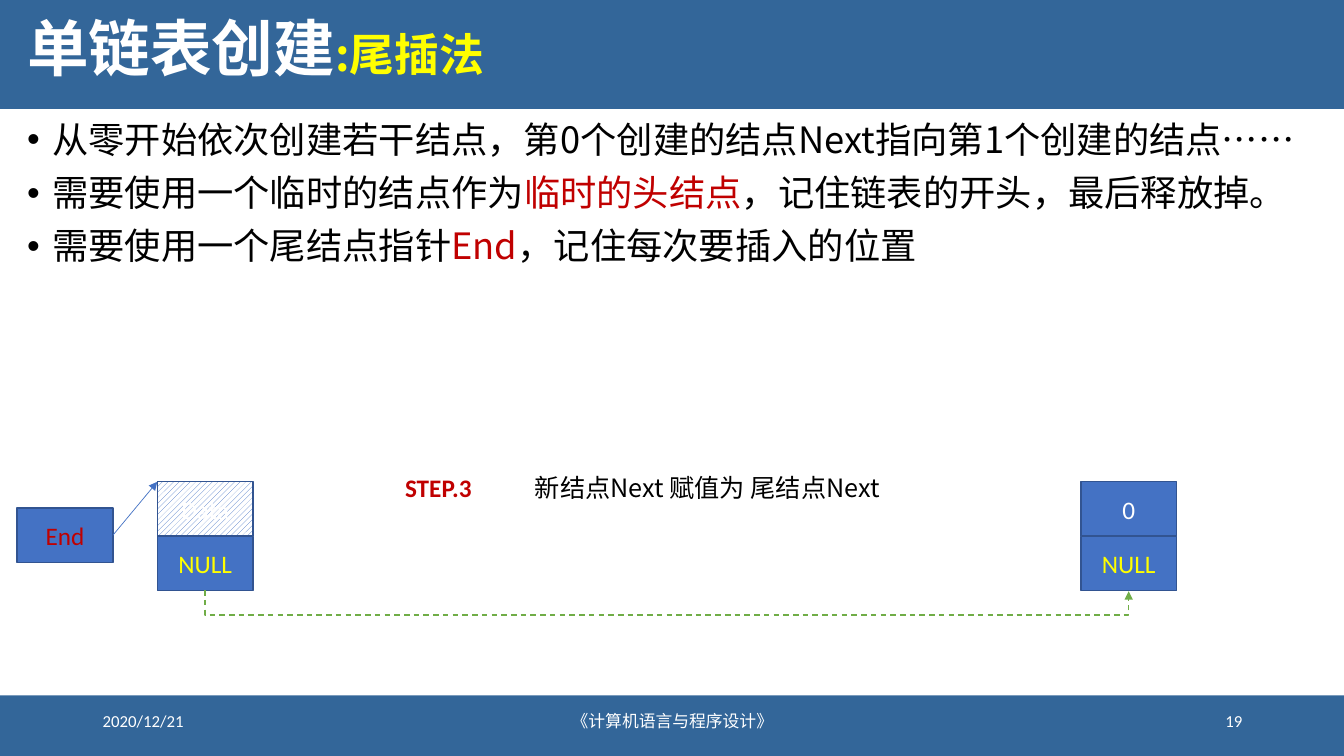
from lxml import etree
from pptx import Presentation
from pptx.dml.color import RGBColor
from pptx.enum.dml import MSO_LINE, MSO_PATTERN
from pptx.enum.shapes import MSO_CONNECTOR, MSO_SHAPE
from pptx.enum.text import MSO_ANCHOR, PP_ALIGN
from pptx.oxml.ns import qn
from pptx.util import Inches, Pt

RECTANGLE = MSO_SHAPE.RECTANGLE
STRAIGHT, ELBOW = MSO_CONNECTOR.STRAIGHT, MSO_CONNECTOR.ELBOW
LEFT, CENTER, RIGHT = PP_ALIGN.LEFT, PP_ALIGN.CENTER, PP_ALIGN.RIGHT
TOP, MIDDLE = MSO_ANCHOR.TOP, MSO_ANCHOR.MIDDLE
HATCH = MSO_PATTERN.WIDE_UPWARD_DIAGONAL
DASH = MSO_LINE.DASH

LATIN_FONT, CHINESE_FONT = "Calibri", "Noto Sans CJK SC"
BAND_BLUE = RGBColor(0x33, 0x66, 0x99)
NODE_BLUE = RGBColor(0x44, 0x72, 0xC4)
NODE_EDGE = RGBColor(0x32, 0x54, 0x91)
GREEN = RGBColor(0x70, 0xAD, 0x47)
RED = RGBColor(0xC0, 0x00, 0x00)
YELLOW = RGBColor(0xFF, 0xFF, 0x00)
WHITE = RGBColor(0xFF, 0xFF, 0xFF)
BLACK = RGBColor(0x00, 0x00, 0x00)

CELL_WIDTH, CELL_HEIGHT = 0.95, 0.54
NODE_TOP = 4.78
FIRST_NODE_LEFT, NEW_NODE_LEFT = 1.56, 10.72
END_LEFT, END_TOP = 0.17, 5.04

BULLETS = [
    [("从零开始依次创建若干结点，第0个创建的结点Next指向第1个创建的结点……", BLACK)],
    [("需要使用一个临时的结点作为", BLACK), ("临时的头结点", RED),
     ("，记住链表的开头，最后释放掉。", BLACK)],
    [("需要使用一个尾结点指针", BLACK), ("End", RED), ("，记住每次要插入的位置", BLACK)],
]


def set_font(paragraph, size, name, color=None, bold=False):
    font = paragraph.font
    font.size, font.name, font.bold = Pt(size), name, bold
    if color is not None:
        font.color.rgb = color


def add_runs(paragraph, runs):
    for text, color in runs:
        run = paragraph.add_run()
        run.text = text
        run.font.color.rgb = color


def add_text_frame(slide, left, top, width, height, anchor=TOP):
    box = slide.shapes.add_textbox(
        Inches(left), Inches(top), Inches(width), Inches(height))
    frame = box.text_frame
    frame.word_wrap = True
    frame.vertical_anchor = anchor
    return frame


def add_label(slide, text, left, top, width, size, name, color,
              align=LEFT, anchor=TOP, bold=False):
    paragraph = add_text_frame(slide, left, top, width, 0.4, anchor).paragraphs[0]
    paragraph.text = text
    paragraph.alignment = align
    set_font(paragraph, size, name, color, bold)


def add_rectangle(shapes, left, top, width, height, color):
    shape = shapes.add_shape(
        RECTANGLE, Inches(left), Inches(top), Inches(width), Inches(height))
    shape.shadow.inherit = False
    shape.fill.solid()
    shape.fill.fore_color.rgb = color
    shape.line.fill.background()
    return shape


def add_cell(shapes, text, left, top, color):
    cell = add_rectangle(shapes, left, top, CELL_WIDTH, CELL_HEIGHT, NODE_BLUE)
    cell.line.color.rgb = NODE_EDGE
    cell.line.width = Pt(1)
    cell.text_frame.vertical_anchor = MIDDLE
    paragraph = cell.text_frame.paragraphs[0]
    paragraph.text = text
    paragraph.alignment = CENTER
    set_font(paragraph, 18, LATIN_FONT, color)
    return cell


def add_node(slide, data, left):
    """Group a data cell with the NULL pointer cell below it; return the data cell."""
    shapes = slide.shapes.add_group_shape().shapes
    data_cell = add_cell(shapes, data, left, NODE_TOP, WHITE)
    add_cell(shapes, "NULL", left, NODE_TOP + CELL_HEIGHT, YELLOW)
    return data_cell


def add_arrow(slide, kind, start, end, color, width):
    points = [Inches(value) for value in (*start, *end)]
    arrow = slide.shapes.add_connector(kind, *points)
    arrow.line.color.rgb = color
    arrow.line.width = Pt(width)
    etree.SubElement(arrow.line._get_or_add_ln(), qn("a:tailEnd"), type="triangle")
    etree.SubElement(arrow._element.spPr, qn("a:effectLst"))
    return arrow


def add_next_link(slide):
    """Dashed elbow that drops below both nodes and rises into the new one."""
    span = NEW_NODE_LEFT - FIRST_NODE_LEFT
    center = (FIRST_NODE_LEFT + NEW_NODE_LEFT + CELL_WIDTH) / 2
    bottom = NODE_TOP + 2 * CELL_HEIGHT
    thickness, drop = 0.01, 0.25
    link = add_arrow(slide, ELBOW,
                     (center - thickness / 2, bottom - span / 2),
                     (center + thickness / 2, bottom + span / 2), GREEN, 1)
    link.line.dash_style = DASH
    properties = link._element.spPr
    properties.xfrm.set("rot", str(270 * 60000))
    properties.xfrm.set("flipH", "1")
    adjustments = properties.find(qn("a:prstGeom")).get_or_add_avLst()
    etree.SubElement(adjustments, qn("a:gd"), name="adj1",
                     fmla=f"val {round(drop / thickness * 100000)}")


def add_title(slide):
    paragraph = add_text_frame(slide, 0.17, 0, 12.87, 1.03, MIDDLE).paragraphs[0]
    paragraph.line_spacing = 0.9
    add_runs(paragraph, [("单链表创建", WHITE), (":尾插法", YELLOW)])
    set_font(paragraph, 44, CHINESE_FONT, bold=True)
    paragraph.runs[1].font.size = Pt(32)


def add_bullets(slide):
    frame = add_text_frame(slide, 0.17, 1.16, 12.87, 1.71)
    for index, runs in enumerate(BULLETS):
        paragraph = frame.add_paragraph() if index else frame.paragraphs[0]
        paragraph.line_spacing = 0.9
        paragraph.space_before = Pt(10 if index else 0)
        properties = paragraph._p.get_or_add_pPr()
        properties.set("marL", str(Inches(0.25)))
        properties.set("indent", str(Inches(-0.25)))
        etree.SubElement(properties, qn("a:buFont"), typeface="Arial")
        etree.SubElement(properties, qn("a:buChar"), char="•")
        set_font(paragraph, 25.9, CHINESE_FONT)
        add_runs(paragraph, runs)


def add_bands(slide):
    for top, height in ((0, 1.08), (6.9, 0.6)):
        add_rectangle(slide.shapes, 0, top, 13.33, height, BAND_BLUE)
    for text, left, width, align in (
            ("2020/12/21", 0.92, 3, LEFT),
            ("《计算机语言与程序设计》", 4.42, 4.5, CENTER),
            ("19", 9.42, 3, RIGHT)):
        add_label(slide, text, left, 6.95, width, 12, LATIN_FONT, WHITE, align, MIDDLE)


def add_linked_list(slide):
    temporary_head = add_node(slide, "Data", FIRST_NODE_LEFT)
    temporary_head.fill.patterned()
    temporary_head.fill.pattern = HATCH
    temporary_head.fill.fore_color.rgb = NODE_BLUE
    temporary_head.fill.back_color.rgb = WHITE
    add_node(slide, "0", NEW_NODE_LEFT)
    add_label(slide, "STEP.3", 3.92, 4.64, 0.87, 18, LATIN_FONT, RED, bold=True)
    add_label(slide, "新结点Next 赋值为 尾结点Next", 5.13, 4.64, 3.77, 18,
              CHINESE_FONT, BLACK, CENTER)
    add_next_link(slide)
    add_cell(slide.shapes, "End", END_LEFT, END_TOP, RED)
    add_arrow(slide, STRAIGHT, (END_LEFT + CELL_WIDTH, END_TOP + CELL_HEIGHT / 2),
              (FIRST_NODE_LEFT, NODE_TOP), NODE_BLUE, 0.5)


def main():
    presentation = Presentation()
    presentation.slide_width = Inches(13.33)
    presentation.slide_height = Inches(7.5)
    slide = presentation.slides.add_slide(presentation.slide_layouts[6])
    add_bands(slide)
    add_title(slide)
    add_bullets(slide)
    add_linked_list(slide)
    presentation.save("out.pptx")


if __name__ == "__main__":
    main()
